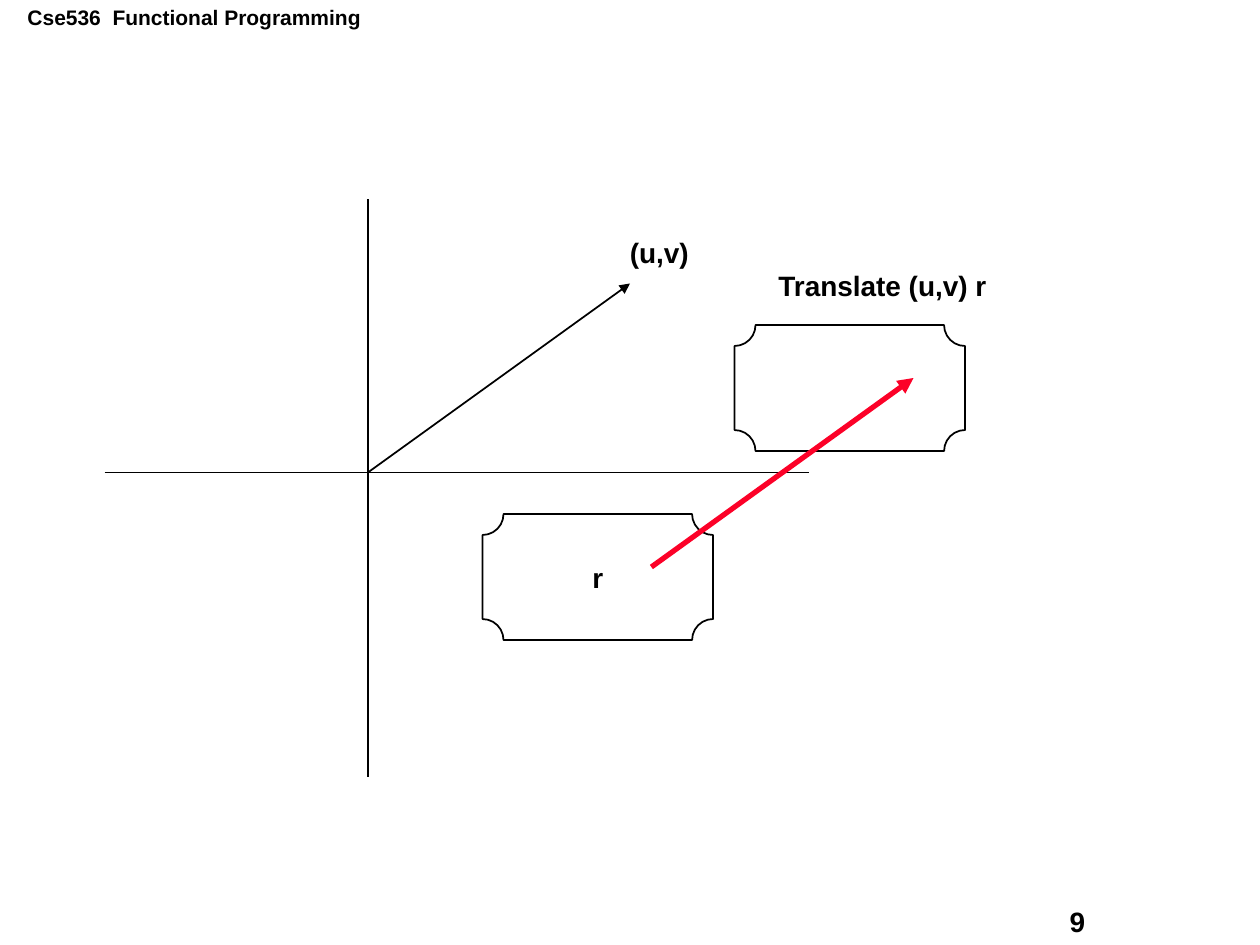
"""Build a slide showing the translation of a region by the vector (u,v)."""
from lxml.etree import SubElement
from pptx import Presentation
from pptx.dml.color import RGBColor
from pptx.enum.shapes import MSO_CONNECTOR, MSO_SHAPE
from pptx.enum.text import MSO_ANCHOR, PP_ALIGN
from pptx.oxml.ns import qn
from pptx.util import Inches, Pt

COLORS = {"ink": "000000", "paper": "FFFFFF", "shift": "FC0128"}


def write_text(shape, text, size=16, align=PP_ALIGN.LEFT, anchor=MSO_ANCHOR.TOP):
    frame = shape.text_frame
    frame.word_wrap = True
    frame.vertical_anchor = anchor
    para = frame.paragraphs[0]
    para.alignment = align
    span = para.add_run()
    span.text = text
    span.font.name = "Arial"
    span.font.size = Pt(size)
    span.font.bold = True
    span.font.color.rgb = RGBColor.from_string(COLORS["ink"])


def draw_line(page, start, end, color="ink", width=1, arrow=False):
    points = [Inches(value) for value in (*start, *end)]
    line = page.shapes.add_connector(MSO_CONNECTOR.STRAIGHT, *points)
    line.line.color.rgb = RGBColor.from_string(COLORS[color])
    line.line.width = Pt(width)
    if arrow:
        SubElement(line.line._get_or_add_ln(), qn("a:tailEnd"), type="triangle")
    SubElement(line._element.spPr, qn("a:effectLst"))


deck = Presentation()
deck.slide_width = Inches(10)
deck.slide_height = Inches(7.5)
page = deck.slides.add_slide(deck.slide_layouts[6])

labels = [
    ("Cse536  Functional Programming", 0.12, -0.01, 3, 0.3, 12),
    ("9", 8.39, 7.13, 1.27, 0.36, 16),
    ("Translate (u,v) r", 6.08, 2.08, 3.25, 0.37, 16),
    ("(u,v)", 4.9, 1.82, 0.8, 0.37, 16),
]
for text, left, top, width, height, size in labels:
    box = page.shapes.add_textbox(Inches(left), Inches(top), Inches(width), Inches(height))
    write_text(box, text, size=size)

origin = (2.92, 3.75)
draw_line(page, (origin[0], 1.58), (origin[0], 6.17))
draw_line(page, (0.83, origin[1]), (6.42, origin[1]))

for left, top, text in [(3.83, 4.08, "r"), (5.83, 2.58, "")]:
    region = page.shapes.add_shape(
        MSO_SHAPE.PLAQUE, Inches(left), Inches(top), Inches(1.83), Inches(1))
    region.shadow.inherit = False
    region.fill.solid()
    region.fill.fore_color.rgb = RGBColor.from_string(COLORS["paper"])
    region.line.color.rgb = RGBColor.from_string(COLORS["ink"])
    region.line.width = Pt(1)
    if text:
        write_text(region, text, align=PP_ALIGN.CENTER, anchor=MSO_ANCHOR.MIDDLE)

vector = (2.08, -1.5)
for start, color, width in [(origin, "ink", 1), ((5.17, 4.5), "shift", 3)]:
    end = (start[0] + vector[0], start[1] + vector[1])
    draw_line(page, start, end, color=color, width=width, arrow=True)

deck.save("out.pptx")
